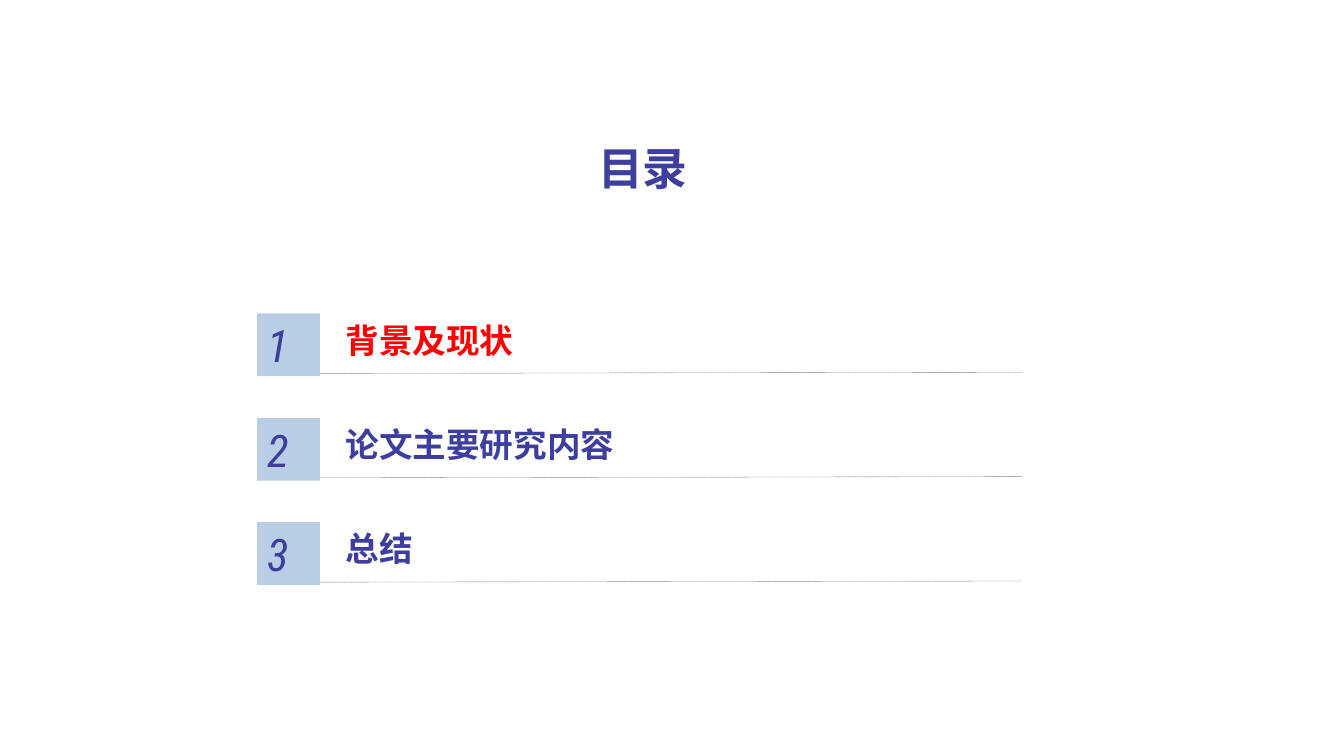
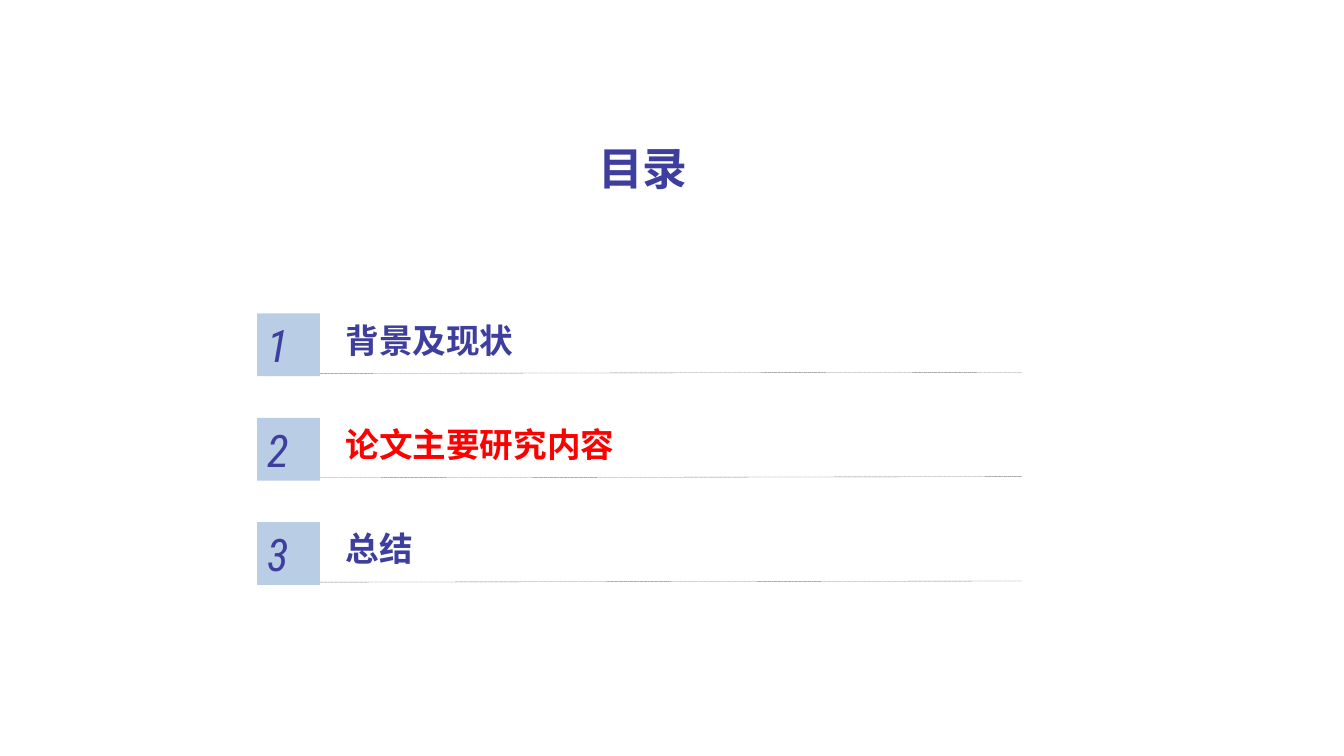
from lxml.etree import SubElement
from pptx import Presentation
from pptx.dml.color import RGBColor
from pptx.enum.dml import MSO_LINE
from pptx.enum.shapes import MSO_CONNECTOR, MSO_SHAPE
from pptx.enum.text import MSO_ANCHOR, PP_ALIGN
from pptx.oxml.ns import qn
from pptx.util import Cm, Pt

INDIGO = "3E3E9F"
HIGHLIGHT = "FF0000"
PALE_BLUE = "B9CDE5"
GREY = "7F7F7F"
HEADING_FONT = "Noto Sans CJK SC"
NUMBER_FONT = "Roboto Condensed"

TITLE = "目录"
CHAPTERS = ["背景及现状", "论文主要研究内容", "总结"]
TITLE_BOX = (4.8, 3.43, 22.81, 1.88)
LIST_BOX = (6.48, 7.9, 19.28, 6.84)
NUMBER_SIZE = 1.58


def color(hex_string):
    """Turn a hex string into a colour."""
    return RGBColor.from_string(hex_string)


def write(shape, text, size, font, hex_string, bold=False, italic=False,
          align=PP_ALIGN.LEFT, anchor=MSO_ANCHOR.TOP):
    """Write one formatted run into a shape."""
    frame = shape.text_frame
    frame.word_wrap = True
    frame.vertical_anchor = anchor
    paragraph = frame.paragraphs[0]
    paragraph.alignment = align
    run = paragraph.add_run()
    run.text = text
    run.font.size = Pt(size)
    run.font.bold = bold
    run.font.italic = italic
    run.font.color.rgb = color(hex_string)
    run.font.name = font
    SubElement(run.font._element, qn("a:ea"), typeface=font)


def add_title(slide, box):
    """Place the centred slide title in the box."""
    shape = slide.shapes.add_textbox(*map(Cm, box))
    write(shape, TITLE, 32, HEADING_FONT, INDIGO, bold=True, align=PP_ALIGN.CENTER)


def add_rule(slide, left, right, start, end):
    """Draw the thin dashed rule under a chapter."""
    rule = slide.shapes.add_connector(
        MSO_CONNECTOR.STRAIGHT, Cm(left), Cm(start), Cm(right), Cm(end))
    rule.line.color.rgb = color(GREY)
    rule.line.width = Pt(0.25)
    rule.line.dash_style = MSO_LINE.SQUARE_DOT
    SubElement(rule._element.spPr, qn("a:effectLst"))


def add_chapter(slide, box, number, chapter, hex_string):
    """Place a rule, a number square and a chapter name in the box."""
    left, top, width, height = box
    add_rule(slide, left + 1.17, left + width, top + 1.51, top + 1.48)
    square = slide.shapes.add_shape(
        MSO_SHAPE.RECTANGLE, Cm(left), Cm(top), Cm(height), Cm(height))
    square.shadow.inherit = False
    square.fill.solid()
    square.fill.fore_color.rgb = color(PALE_BLUE)
    square.line.fill.background()
    write(square, str(number), 32, NUMBER_FONT, INDIGO, italic=True,
          anchor=MSO_ANCHOR.MIDDLE)
    name = slide.shapes.add_textbox(
        Cm(left + 1.98), Cm(top + 0.03), Cm(width - 1.8), Cm(1.27))
    write(name, chapter, 24, HEADING_FONT, hex_string, bold=True)


def add_chapters(slide, box, current):
    """Spread the chapters evenly down the box and highlight the current one."""
    left, top, width, height = box
    pitch = (height - NUMBER_SIZE) / (len(CHAPTERS) - 1)
    for index, chapter in enumerate(CHAPTERS):
        row = (left, top + index * pitch, width, NUMBER_SIZE)
        add_chapter(slide, row, index + 1, chapter,
                    HIGHLIGHT if index == current else INDIGO)


def add_contents_slide(presentation, current):
    """Add a contents slide that highlights the current chapter."""
    slide = presentation.slides.add_slide(presentation.slide_layouts[6])
    add_chapters(slide, LIST_BOX, current)
    add_title(slide, TITLE_BOX)


def main():
    """Build and save the presentation."""
    presentation = Presentation()
    presentation.slide_width = Cm(33.87)
    presentation.slide_height = Cm(19.05)
    for current in range(2):
        add_contents_slide(presentation, current)
    presentation.save("out.pptx")


main()
